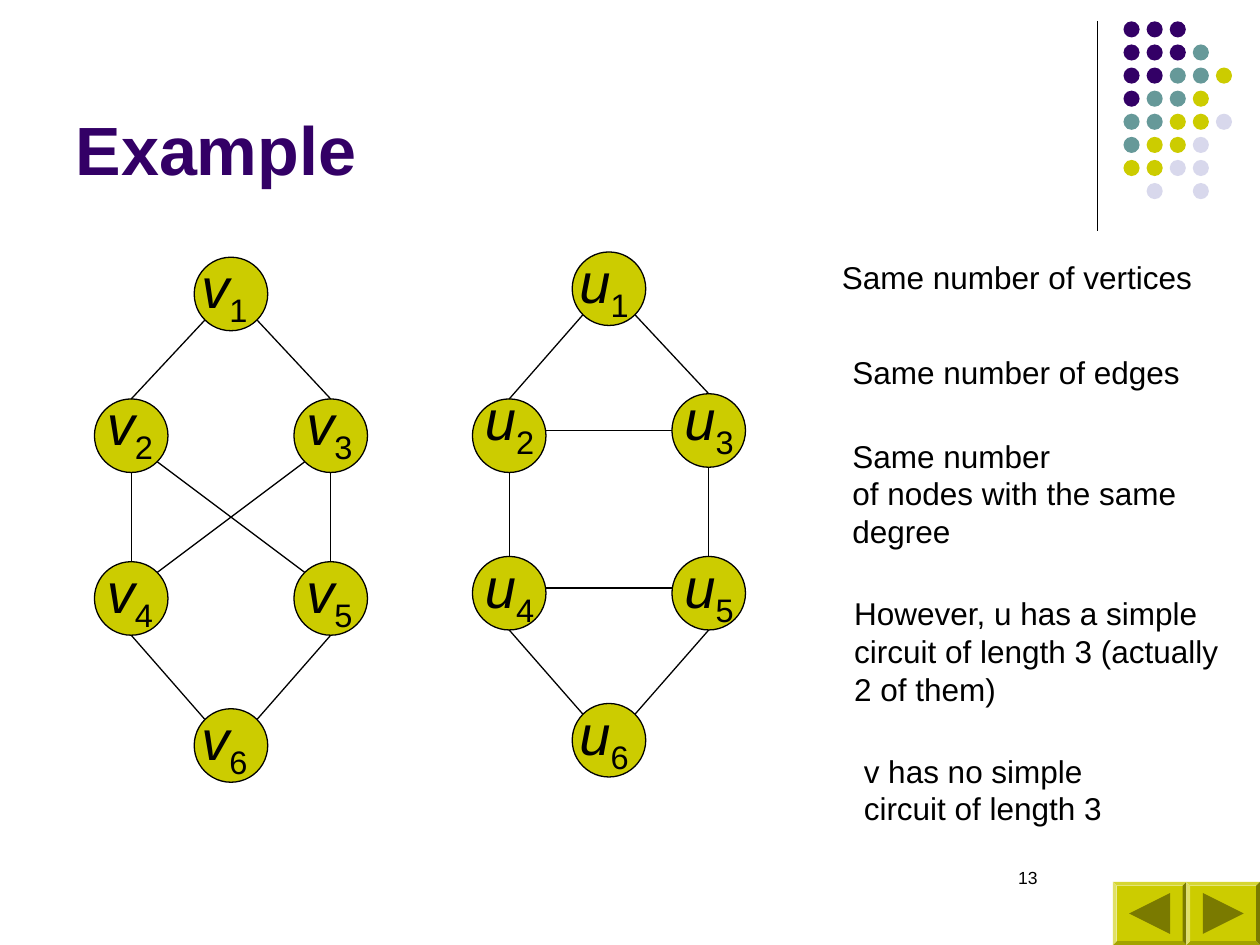
"""Build the slide that compares the graphs v and u."""
from lxml.etree import SubElement
from pptx import Presentation
from pptx.dml.color import RGBColor
from pptx.enum.shapes import MSO_CONNECTOR, MSO_SHAPE
from pptx.enum.text import MSO_ANCHOR, MSO_AUTO_SIZE, PP_ALIGN
from pptx.oxml.ns import qn
from pptx.util import Pt

BLACK, PURPLE, TEAL, OLIVE, PALE = "000000", "330066", "669999", "CCCC00", "D8D8EC"
color = RGBColor.from_string

presentation = Presentation()
presentation.slide_width, presentation.slide_height = Pt(720), Pt(540)
slide = presentation.slides.add_slide(presentation.slide_layouts[5])


def add_shape(kind, left, top, width, height, fill, outline=None):
    shape = slide.shapes.add_shape(kind, Pt(left), Pt(top), Pt(width), Pt(height))
    shape.shadow.inherit = False
    shape.fill.solid()
    shape.fill.fore_color.rgb = color(fill)
    if outline:
        shape.line.color.rgb = color(outline)
        shape.line.width = Pt(0.75)
    else:
        shape.line.fill.background()
    return shape


def add_text(text, left, top, width, height, size, wrap=True):
    box = slide.shapes.add_textbox(Pt(left), Pt(top), Pt(width), Pt(height))
    box.text_frame.text = text
    box.text_frame.word_wrap = wrap
    box.text_frame.auto_size = MSO_AUTO_SIZE.SHAPE_TO_FIT_TEXT
    for paragraph in box.text_frame.paragraphs:
        for name, value in {"name": "Arial", "size": Pt(size)}.items():
            setattr(paragraph.font, name, value)
        paragraph.font.color.rgb = color(BLACK)
    return box.text_frame.paragraphs[0]


title = slide.shapes.title
title_place = {"left": Pt(36), "top": Pt(9.5), "width": Pt(594), "height": Pt(102)}
for name, value in title_place.items():
    setattr(title, name, value)
title.text_frame.text = "Example"
title_frame = {"vertical_anchor": MSO_ANCHOR.BOTTOM, "auto_size": MSO_AUTO_SIZE.NONE}
for name, value in title_frame.items():
    setattr(title.text_frame, name, value)
heading = title.text_frame.paragraphs[0]
heading.alignment = PP_ALIGN.LEFT
for name, value in {"name": "Arial", "size": Pt(39), "bold": True}.items():
    setattr(heading.font, name, value)
heading.font.color.rgb = color(PURPLE)

dot_colors = {"P": PURPLE, "T": TEAL, "O": OLIVE, "L": PALE}
dot_rows = ["PPP", "PPPT", "PPTTO", "PTTO", "TTOOL", "TOOL", "OOLL", " L L"]
for row, letters in enumerate(dot_rows):
    for column, letter in enumerate(letters):
        if letter in dot_colors:
            add_shape(MSO_SHAPE.OVAL, 642 + 13.2 * column, 12.2 + 13.2 * row,
                      9.2, 9.2, dot_colors[letter])

for left, rotation in ((636, -90), (678, 90)):
    button = add_shape(MSO_SHAPE.BEVEL, left, 504, 42, 36, OLIVE)
    button.adjustments[0] = 0.06
    arrow = add_shape(MSO_SHAPE.ISOSCELES_TRIANGLE, left + 9.3, 510.3, 23.4, 23.4, "7A7A00")
    arrow.rotation = rotation

diameter, radius, diagonal = 42, 21, 15
sites = {"T": (0, -radius), "B": (0, radius),
         "TL": (-diagonal, -diagonal), "TR": (diagonal, -diagonal),
         "BL": (-diagonal, diagonal), "BR": (diagonal, diagonal)}
shared_edges = [(1, "BL", 2, "T"), (1, "BR", 3, "T"), (2, "B", 4, "T"),
                (3, "B", 5, "T"), (4, "B", 6, "TL"), (5, "B", 6, "TR")]
crossing_edges = [(2, "BR", 5, "TL"), (3, "BL", 4, "TR")]
columns = [57, 0, 114, 0, 114, 57]
label_tops = [141, 219, 219, 315, 315, 399]
graphs = [("v", 54, 0, [147, 228, 228, 321, 321, 405], shared_edges + crossing_edges),
          ("u", 270, -3, [144, 228, 225, 318, 318, 402], shared_edges)]

segments = [(627, 12, 627, 132), (312, 246, 384, 246), (312, 336, 384, 336)]
for letter, left, shift, tops, edges in graphs:
    centers = {}
    for number, (column, top) in enumerate(zip(columns, tops), 1):
        add_shape(MSO_SHAPE.OVAL, left + column, top, diameter, diameter, OLIVE, BLACK)
        centers[number] = (left + column + radius, top + radius)
    for start, start_site, end, end_site in edges:
        segments.append([center + offset
                         for node, site in ((start, start_site), (end, end_site))
                         for center, offset in zip(centers[node], sites[site])])

for segment in segments:
    line = slide.shapes.add_connector(MSO_CONNECTOR.STRAIGHT, *map(Pt, segment))
    line.line.color.rgb = color(BLACK)
    line.line.width = Pt(0.75)
    SubElement(line._element.spPr, qn("a:effectLst"))

for letter, left, shift, tops, edges in graphs:
    for number, (column, top) in enumerate(zip(columns, label_tops), 1):
        inset = 3 if column == 57 else 0
        label = add_text(letter, left + column - inset, top + shift, 47.5, 51, 32)
        label.space_before = Pt(4)
        label.runs[0].font.italic = True
        subscript = label.add_run()
        subscript.text = str(number)
        subscript._r.get_or_add_rPr().set("baseline", "-25000")

notes = [("Same number of vertices", 474, 144, 214.5, 29),
         ("Same number of edges", 480, 198, 201.5, 29),
         ("Same number\nof nodes with the same\ndegree", 480, 246, 204.5, 72),
         ("However, u has a simple\ncircuit of length 3 (actually\n2 of them)", 481, 336, 227.5, 72),
         ("v has no simple\ncircuit of length 3", 486.5, 426, 150.5, 50.5)]
for text, left, top, width, height in notes:
    add_text(text, left, top, width, height, 18, wrap=False)

page_number = add_text("13", 516, 492, 84, 36, 10)
page_number.alignment = PP_ALIGN.RIGHT

presentation.save("out.pptx")
